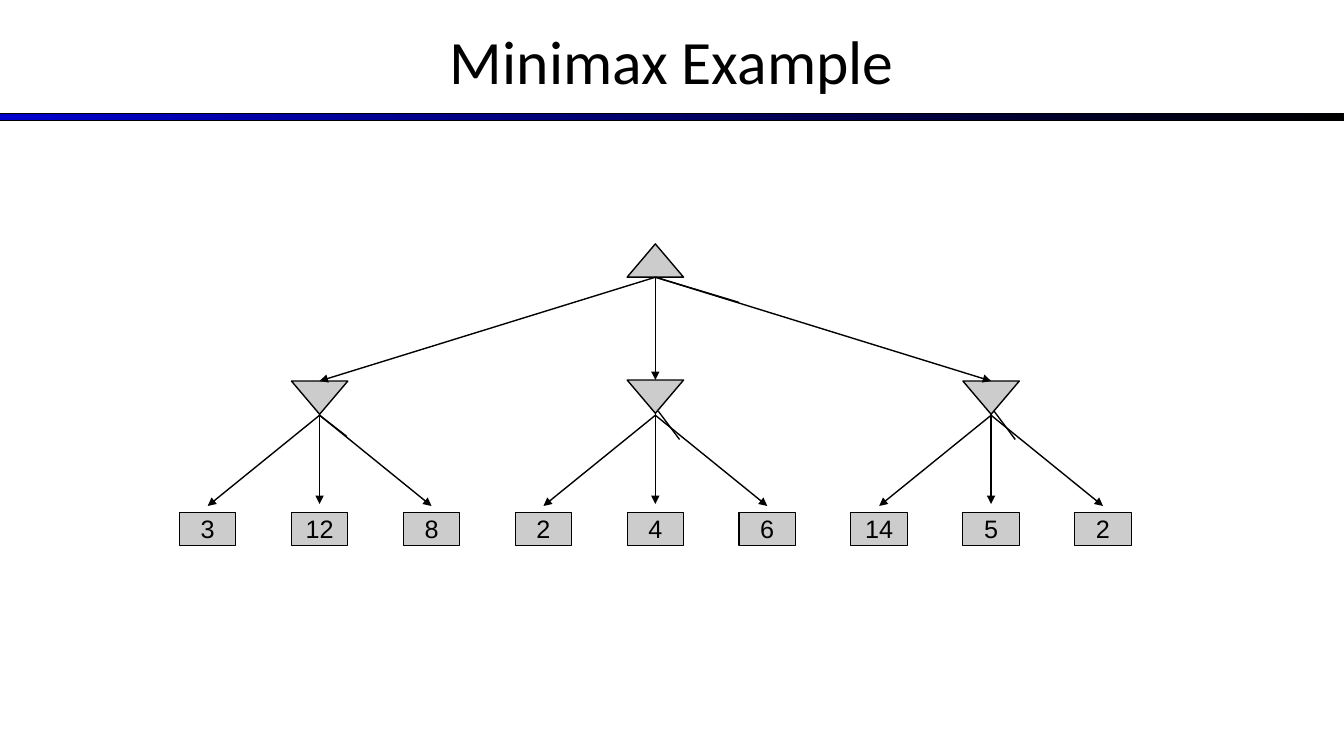
from lxml import etree
from pptx import Presentation
from pptx.dml.color import RGBColor
from pptx.enum.shapes import MSO_CONNECTOR, MSO_SHAPE as SHAPE
from pptx.enum.text import MSO_ANCHOR, PP_ALIGN
from pptx.oxml.ns import qn
from pptx.util import Inches, Pt


def paint(part, color):
    part.solid()
    part.fore_color.rgb = RGBColor.from_string(color)


def draw_edge(start, end, arrow=True):
    edge = slide.shapes.add_connector(
        MSO_CONNECTOR.STRAIGHT, *(Inches(v) for v in (*start, *end)))
    edge.line.width = Pt(1)
    paint(edge.line.fill, "000000")
    if arrow:
        etree.SubElement(edge.line._get_or_add_ln(), qn("a:tailEnd"), type="triangle")
    etree.SubElement(edge._element.spPr, qn("a:effectLst"))


prs = Presentation()
prs.slide_width, prs.slide_height = Inches(13.33), Inches(7.5)
slide = prs.slides.add_slide(prs.slide_layouts[6])

rule = slide.shapes.add_shape(SHAPE.RECTANGLE, 0, Inches(1.13), Inches(13.33), Inches(0.07))
rule.shadow.inherit = False
rule.fill.gradient()
rule.fill.gradient_angle = 0
for stop, color in zip(rule.fill.gradient_stops, ("0000CC", "000000")):
    stop.color.rgb = RGBColor.from_string(color)
rule.line.width = Pt(0.75)
paint(rule.line.fill, "000000")

title = slide.shapes.add_textbox(0, Inches(-0.03), Inches(13.33), Inches(1.25)).text_frame
title.word_wrap = True
title.vertical_anchor = MSO_ANCHOR.MIDDLE
title.text = "Minimax Example"
heading = title.paragraphs[0]
heading.alignment = PP_ALIGN.CENTER
heading.font.name, heading.font.size = "Calibri", Pt(44)
heading.font.color.rgb = RGBColor.from_string("000000")

NODE_W, NODE_H = 0.56, 0.33
ROOT_X, LEAF_GAP = 6.5, 1.11
MIN_GAP = 3 * LEAF_GAP
root_base = (ROOT_X, 2.75)
branches = [
    (3.78, (3, 12, 8), (0, 4.12, 0.27, 4.33)),
    (3.77, (2, 4, 6), (0.03, 4.08, 0.24, 4.36)),
    (3.78, (14, 5, 2), (0.03, 4.08, 0.24, 4.36)),
]

nodes = [(SHAPE.ISOSCELES_TRIANGLE, ROOT_X, 2.42, 0, "")]
for b, (min_top, values, stub) in enumerate(branches):
    min_x = ROOT_X + (b - 1) * MIN_GAP
    nodes.append((SHAPE.ISOSCELES_TRIANGLE, min_x, min_top, 180, ""))
    for v, value in enumerate(values):
        nodes.append((SHAPE.RECTANGLE, min_x + (v - 1) * LEAF_GAP, 5.08, 0, str(value)))

for kind, center_x, top, rotation, value in nodes:
    node = slide.shapes.add_shape(
        kind, Inches(center_x - NODE_W / 2), Inches(top), Inches(NODE_W), Inches(NODE_H))
    node.rotation = rotation
    node.shadow.inherit = False
    paint(node.fill, "CCCCCC")
    paint(node.line.fill, "000000")
    node.line.width = Pt(0.75 if value else 1)
    if value:
        node.text_frame.text = value
        node.text_frame.vertical_anchor = MSO_ANCHOR.MIDDLE
        label = node.text_frame.paragraphs[0]
        label.alignment = PP_ALIGN.CENTER
        label.font.name, label.font.size = "Arial", Pt(18)
        label.font.color.rgb = RGBColor.from_string("000000")

draw_edge(root_base, (ROOT_X, 3.08), arrow=False)
draw_edge(root_base, (7.33, 3), arrow=False)
for b, (min_top, values, stub) in enumerate(branches):
    min_x = ROOT_X + (b - 1) * MIN_GAP
    draw_edge(root_base, (min_x, min_top))
    for v, leaf_end in enumerate((5.02, 5, 5.02)):
        draw_edge((min_x, 4.12), (min_x + (v - 1) * LEAF_GAP, leaf_end))
    draw_edge((min_x, 4.11), (min_x, 4.45), arrow=False)
    from_dx, from_y, to_dx, to_y = stub
    draw_edge((min_x + from_dx, from_y), (min_x + to_dx, to_y), arrow=False)

prs.save("out.pptx")
